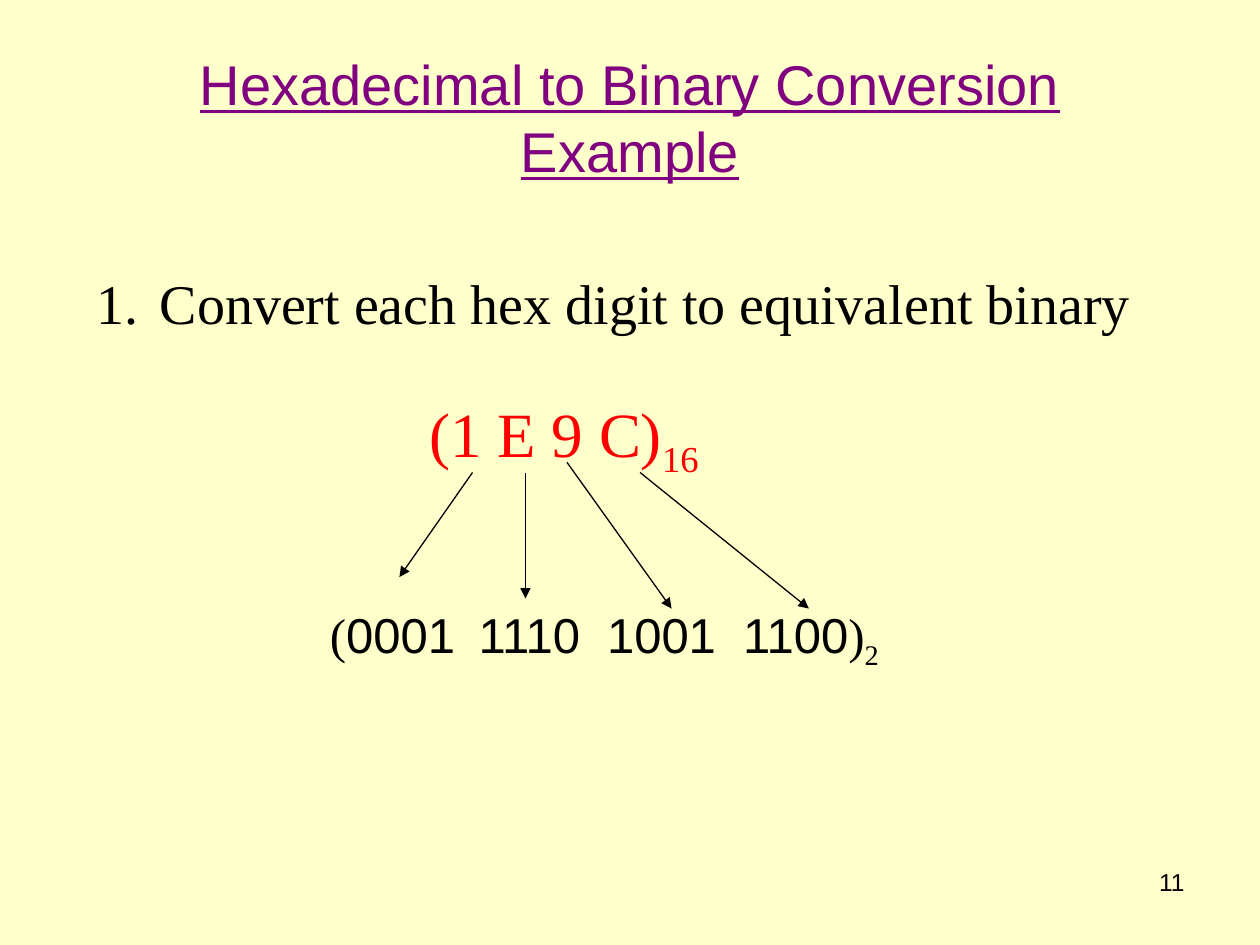
"""Build the slide on converting hexadecimal digits to binary."""
from lxml import etree
from pptx import Presentation
from pptx.dml.color import RGBColor
from pptx.enum.shapes import MSO_CONNECTOR
from pptx.enum.text import MSO_ANCHOR, PP_ALIGN
from pptx.oxml.ns import qn
from pptx.util import Inches, Pt

STRAIGHT = MSO_CONNECTOR.STRAIGHT
MIDDLE = MSO_ANCHOR.MIDDLE
CENTER, LEFT, RIGHT = PP_ALIGN.CENTER, PP_ALIGN.LEFT, PP_ALIGN.RIGHT
CREAM = RGBColor(0xFF, 0xFF, 0xCC)
PURPLE = RGBColor(0x80, 0x00, 0x80)
RED = RGBColor(0xFF, 0x00, 0x00)
BLACK = RGBColor(0x00, 0x00, 0x00)
SANS, SERIF = "Arial", "Times New Roman"


def style(paragraph, size, name, color, align=LEFT):
    paragraph.alignment = align
    paragraph.font.size = Pt(size)
    paragraph.font.name = name
    paragraph.font.color.rgb = color


def add_text(left, top, width, height, spans, size, name, color, align=LEFT):
    box = page.shapes.add_textbox(Inches(left), Inches(top), Inches(width), Inches(height))
    box.text_frame.word_wrap = True
    paragraph = box.text_frame.paragraphs[0]
    style(paragraph, size, name, color, align)
    for text, font_name, baseline in spans:
        span = paragraph.add_run()
        span.text = text
        if font_name != name:
            span.font.name = font_name
        if baseline:
            span._r.get_or_add_rPr().set("baseline", str(baseline))
    return paragraph


deck = Presentation()
deck.slide_width, deck.slide_height = Inches(10), Inches(7.5)
page = deck.slides.add_slide(deck.slide_layouts[5])
page.background.fill.solid()
page.background.fill.fore_color.rgb = CREAM

title = page.shapes.title
title.left, title.top = Inches(0.5), Inches(0.3)
title.width, title.height = Inches(9), Inches(1.25)
title.text_frame.text = "Hexadecimal to Binary Conversion\vExample"
title.text_frame.vertical_anchor = MIDDLE
style(title.text_frame.paragraphs[0], 32, SANS, PURPLE, CENTER)
title.text_frame.paragraphs[0].font.underline = True

add_text(7.17, 6.83, 2.33, 0.52, [("11", SANS, 0)], 14, SANS, BLACK, RIGHT)

step = add_text(0.67, 2.08, 8.8, 0.64,
                [("Convert each hex digit to equivalent binary", SERIF, 0)],
                32, SERIF, BLACK)
step_properties = step._p.get_or_add_pPr()
step_properties.set("marL", str(Inches(0.5)))
step_properties.set("indent", str(-Inches(0.5)))
numbering = etree.Element(qn("a:buAutoNum"), type="arabicPeriod")
step_properties.insert(0, numbering)

add_text(3.31, 3.08, 2.61, 0.7,
         [("(1 E 9 C)", SERIF, 0), ("16", SERIF, -25000)], 36, SERIF, RED)

binary = add_text(2.52, 4.75, 4.67, 0.63,
                  [("(", SERIF, 0), ("0001\t1110\t1001\t1100", SANS, 0),
                   (")", SERIF, 0), ("2", SERIF, -25000)], 28, SERIF, BLACK)
tab_list = etree.Element(qn("a:tabLst"))
for position in (1.18, 2.2, 3.28):
    etree.SubElement(tab_list, qn("a:tab"), pos=str(Inches(position)), algn="l")
binary._p.get_or_add_pPr().insert(0, tab_list)

digit_arrows = [
    (3.75, 3.75, 3.17, 4.58),
    (4.17, 3.75, 4.17, 4.75),
    (4.5, 3.67, 5.33, 4.83),
    (5.08, 3.75, 6.42, 4.83),
]
for ends in digit_arrows:
    arrow = page.shapes.add_connector(STRAIGHT, *[Inches(value) for value in ends])
    arrow.line.color.rgb = BLACK
    arrow.line.width = Pt(0.74)
    etree.SubElement(arrow.line._get_or_add_ln(), qn("a:tailEnd"), type="triangle")
    etree.SubElement(arrow._element.spPr, qn("a:effectLst"))

deck.save("out.pptx")
